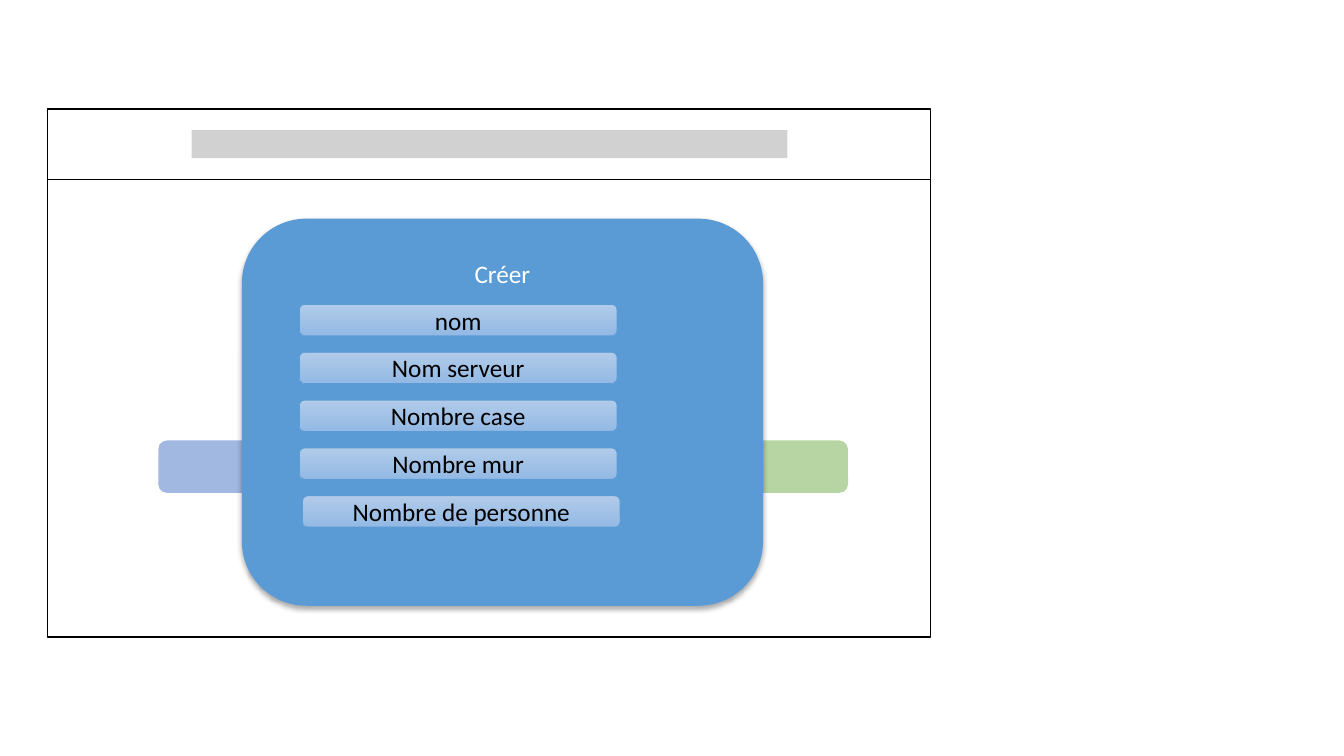
from pptx import Presentation
from pptx.dml.color import RGBColor
from pptx.enum.shapes import MSO_CONNECTOR, MSO_SHAPE
from pptx.enum.text import MSO_ANCHOR, PP_ALIGN
from pptx.oxml import parse_xml
from pptx.oxml.ns import nsdecls, qn
from pptx.util import Inches, Pt
from lxml import etree

RECT, ROUND = MSO_SHAPE.RECTANGLE, MSO_SHAPE.ROUNDED_RECTANGLE
STRAIGHT = MSO_CONNECTOR.STRAIGHT
TOP, MIDDLE = MSO_ANCHOR.TOP, MSO_ANCHOR.MIDDLE
CENTER = PP_ALIGN.CENTER

THEME = {
    "font": "Calibri", "size": Pt(18),
    "white": RGBColor.from_string("FFFFFF"),
    "black": RGBColor.from_string("000000"),
    "gray": RGBColor.from_string("A5A5A5"),
    "indigo": RGBColor.from_string("4472C4"),
    "green": RGBColor.from_string("70AD47"),
    "blue": RGBColor.from_string("5B9BD5"),
    "field_top": RGBColor.from_string("B1CBE9"),
    "field_bottom": RGBColor.from_string("93B9E4"),
}

deck = Presentation()
deck.slide_width, deck.slide_height = Inches(13.33), Inches(7.5)
page = deck.slides.add_slide(deck.slide_layouts[6])
# Grid: one column and one row are each a hundredth of the slide
COL, ROW = deck.slide_width / 100, deck.slide_height / 100


def add_box(shapes, kind, left, top, width, height, fill=None, opacity=100):
    box = shapes.add_shape(kind, int(left * COL), int(top * ROW),
                           int(width * COL), int(height * ROW))
    box.shadow.inherit = False
    box.line.fill.background()
    if fill:
        box.fill.solid()
        box.fill.fore_color.rgb = THEME[fill]
    if opacity < 100:
        color = box.fill._xPr.find(qn("a:solidFill"))[0]
        etree.SubElement(color, qn("a:alpha")).set("val", str(opacity * 1000))
    return box


def write(box, text, color, anchor):
    box.text_frame.word_wrap = True
    box.text_frame.vertical_anchor = anchor
    para = box.text_frame.paragraphs[0]
    para.alignment = CENTER
    span = para.add_run()
    span.text = text
    span.font.name, span.font.size = THEME["font"], THEME["size"]
    span.font.color.rgb = THEME[color]


# Application window with its title bar and two half-hidden buttons
WINDOW_LEFT, WINDOW_WIDTH, BAR_BOTTOM = 3.53, 65.72, 23.73
window = page.shapes.add_group_shape().shapes
frame = add_box(window, RECT, WINDOW_LEFT, 14.4, WINDOW_WIDTH, 69.87, "white")
divider = window.add_connector(
    STRAIGHT, int(WINDOW_LEFT * COL), int(BAR_BOTTOM * ROW),
    int((WINDOW_LEFT + WINDOW_WIDTH) * COL), int(BAR_BOTTOM * ROW))
etree.SubElement(divider._element.spPr, qn("a:effectLst"))
for outline in (frame.line, divider.line):
    outline.color.rgb, outline.width = THEME["black"], Pt(1)
add_box(window, RECT, 14.25, 17.2, 44.34, 3.73, "gray", 50)
for left, color in ((11.78, "indigo"), (42.39, "green")):
    add_box(window, ROUND, left, 58.27, 20.71, 6.93, color, 50)

# Creation panel with a soft shadow below
panel = add_box(page.shapes, ROUND, 18, 28.93, 38.78, 51.2, "blue")
panel.text_frame.margin_top = Inches(0.21)
write(panel, "Créer", "white", TOP)
panel._element.spPr.find(qn("a:effectLst")).append(parse_xml(
    f'<a:outerShdw {nsdecls("a")} blurRad="{Pt(3.5)}" dist="{Pt(2.2)}" '
    'dir="5400000" algn="ctr" rotWithShape="0"><a:srgbClr val="000000">'
    '<a:alpha val="32000"/></a:srgbClr></a:outerShdw>'))

# Form fields, evenly spaced; the last one sits slightly to the right
FIELD_TOP, FIELD_STEP = 40.27, 6.33
fields = (("nom", 22.28), ("Nom serveur", 22.28), ("Nombre case", 22.28),
          ("Nombre mur", 22.28), ("Nombre de personne", 22.51))
for row, (label, left) in enumerate(fields):
    field = add_box(page.shapes, ROUND, left, FIELD_TOP + row * FIELD_STEP,
                    23.63, 4.13)
    field.fill.gradient()
    field.fill.gradient_angle = 270
    for stop, color in zip(field.fill.gradient_stops,
                           ("field_top", "field_bottom")):
        stop.color.rgb = THEME[color]
    field.line.color.rgb, field.line.width = THEME["blue"], Pt(0.5)
    write(field, label, "black", MIDDLE)

deck.save("out.pptx")
